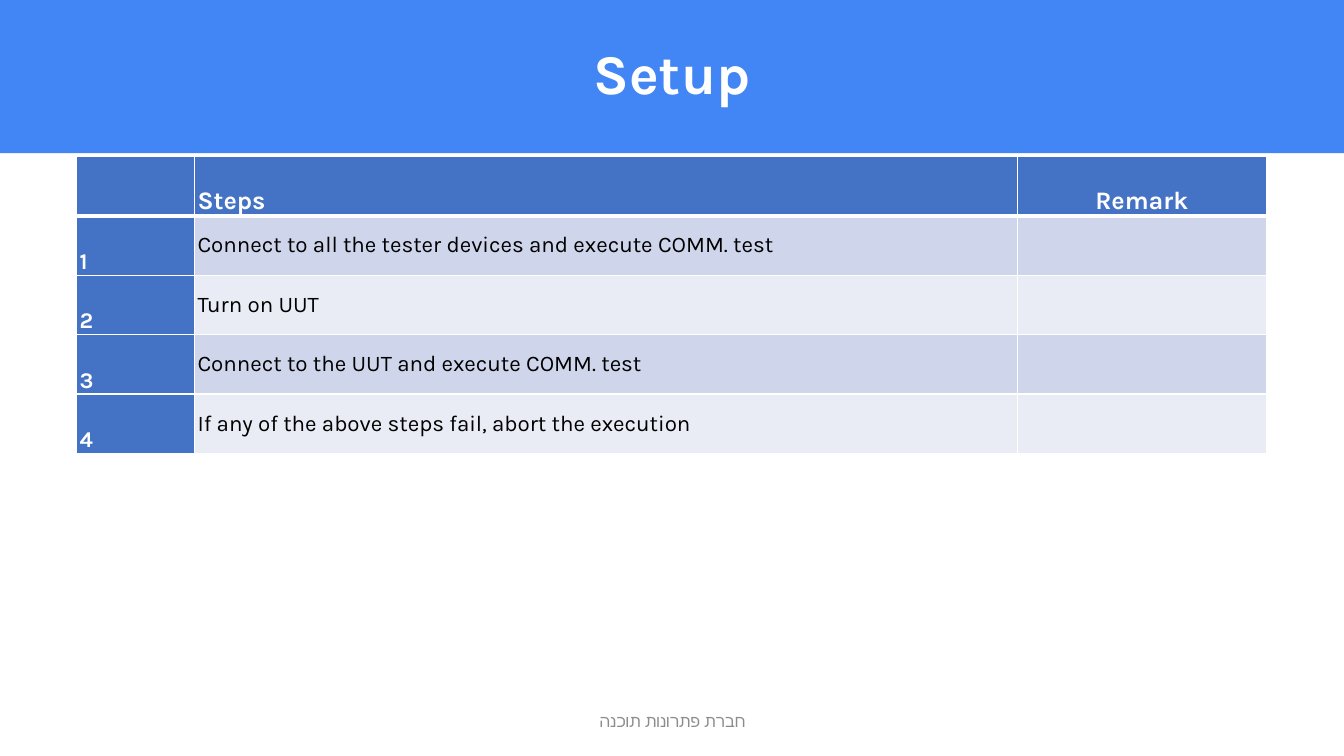
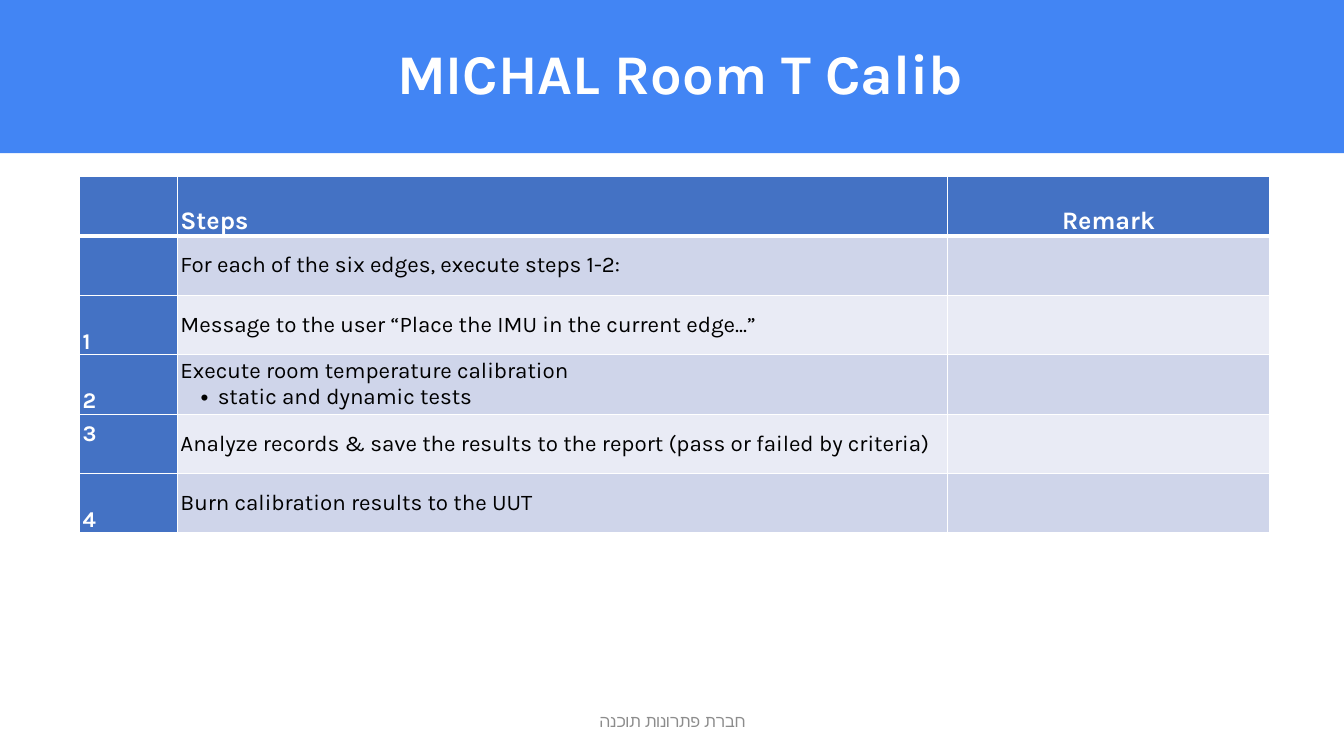
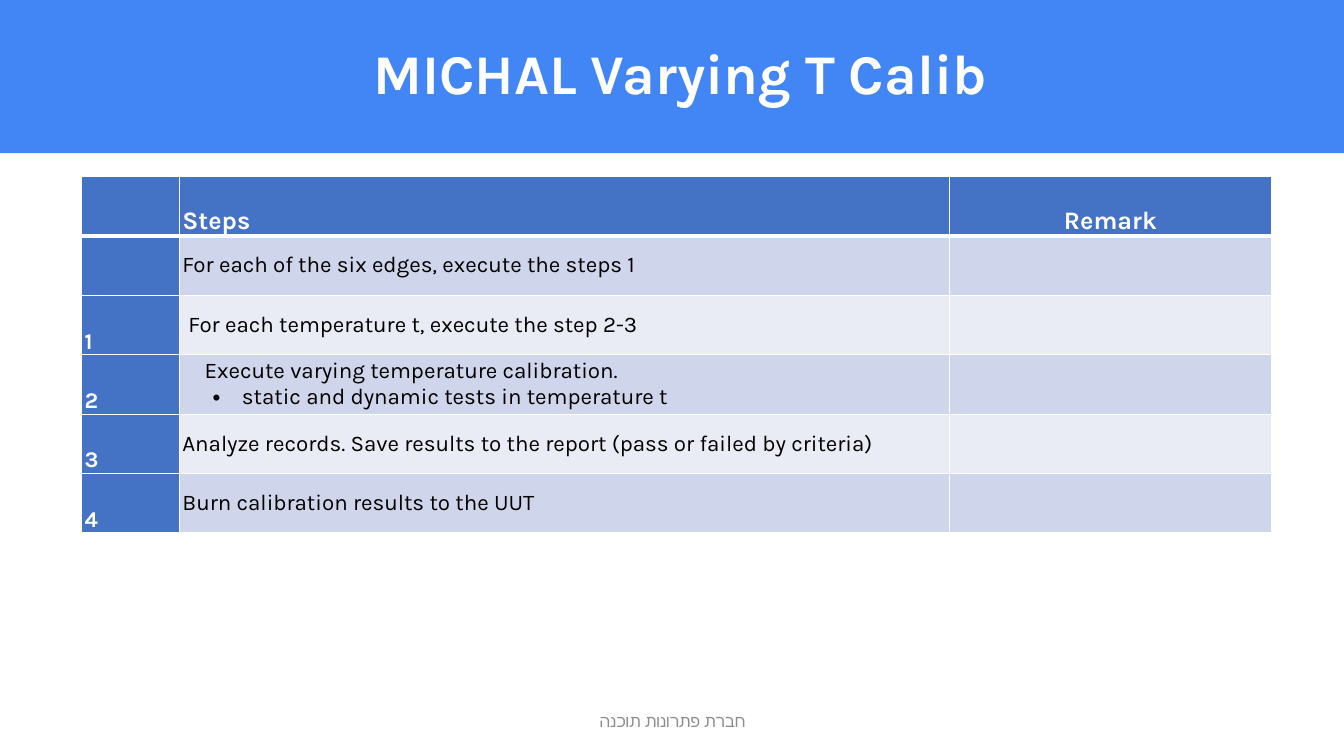
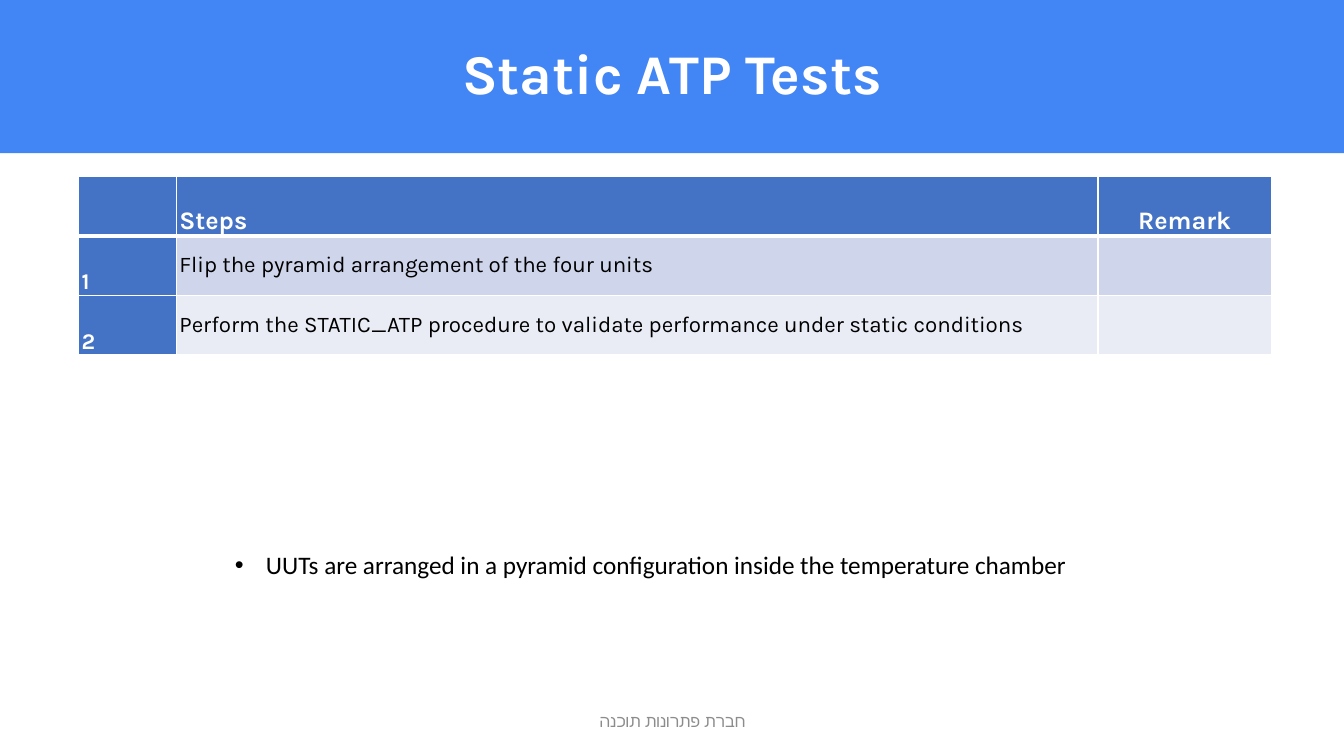
from dataclasses import dataclass

from lxml.etree import SubElement
from pptx import Presentation
from pptx.dml.color import RGBColor
from pptx.enum.shapes import MSO_SHAPE
from pptx.enum.text import MSO_ANCHOR, PP_ALIGN
from pptx.oxml.ns import qn
from pptx.slide import Slide
from pptx.table import _Cell
from pptx.text.text import TextFrame, _Paragraph
from pptx.util import Inches, Pt

WHITE, BLACK, GREY = "FFFFFF", "000000", "8C8C8C"
BAND_BLUE, TABLE_BLUE = "4285F4", "4472C4"
STRIPES = ("CFD5EA", "E9EBF5")
HEADING_FONT, BODY_FONT = "Karla", "Calibri"
PAGE_WIDTH, PAGE_HEIGHT, BAND_HEIGHT = 13.33, 7.5, 1.52
ROW_HEIGHT = 0.59
CELL_INSET = 0.03
FOOTER = "חברת פתרונות תוכנה"


@dataclass(frozen=True)
class Line:
    text: str
    indent: float = 0
    hanging: float = 0


@dataclass(frozen=True)
class Step:
    number: str
    lines: tuple[Line, ...]
    number_lift: float = 0


@dataclass(frozen=True)
class StepTable:
    left: float
    top: float
    columns: tuple[float, float, float]
    steps: tuple[Step, ...]


@dataclass(frozen=True)
class Page:
    title: str
    table: StepTable
    title_inset: float = 0.1
    note: str = ""


def step(number: str, *lines: str | Line, lift: float = 0) -> Step:
    return Step(number, tuple(Line(line) if isinstance(line, str) else line for line in lines), lift)


PAGES = (
    Page("Setup", StepTable(0.76, 1.55, (1.17, 8.16, 2.47), (
        step("1", "Connect to all the tester devices and execute COMM. test"),
        step("2", "Turn on UUT"),
        step("3", "Connect to the UUT and execute COMM. test"),
        step("4", "If any of the above steps fail, abort the execution"),
    ))),
    Page("MICHAL Room T Calib", StepTable(0.79, 1.75, (0.97, 7.64, 3.19), (
        step("", "For each of the six edges, execute steps 1-2:"),
        step("1", "Message to the user “Place the IMU in the current edge...”"),
        step("2", "Execute room temperature calibration",
             Line("static and dynamic tests", 0.37, 0.17)),
        step("3", "Analyze records & save the results to the report (pass or failed by criteria)", lift=0.26),
        step("4", "Burn calibration results to the UUT"),
    )), title_inset=0.26),
    Page("MICHAL Varying T Calib", StepTable(0.81, 1.75, (0.97, 7.64, 3.19), (
        step("", "For each of the six edges, execute the steps 1"),
        step("1", Line("For each temperature t, execute the step 2-3", 0.06)),
        step("2", Line("Execute varying temperature calibration.", 0.22),
             Line("static and dynamic tests in temperature t", 0.59, 0.29)),
        step("3", "Analyze records. Save results to the report (pass or failed by criteria)"),
        step("4", "Burn calibration results to the UUT"),
    )), title_inset=0.26),
    Page("Static ATP Tests", StepTable(0.78, 1.75, (0.97, 9.14, 1.72), (
        step("1", "Flip the pyramid arrangement of the four units"),
        step("2", "Perform the STATIC_ATP procedure to validate performance under static conditions"),
    )), note="UUTs are arranged in a pyramid configuration inside the temperature chamber"),
)


def rgb(color: str) -> RGBColor:
    return RGBColor.from_string(color)


def style(para: _Paragraph, size: float, font: str, color: str, bold: bool = False) -> None:
    para.font.size = Pt(size)
    para.font.name = font
    para.font.bold = bold
    para.font.color.rgb = rgb(color)


def indent(para: _Paragraph, line: Line) -> None:
    properties = para._p.get_or_add_pPr()
    properties.set("marL", str(Inches(line.indent)))
    properties.set("indent", str(Inches(-line.hanging)))
    if line.hanging:
        SubElement(properties, qn("a:buFont"), typeface="Arial")
        SubElement(properties, qn("a:buChar"), char="•")


def center_right_to_left(frame: TextFrame, text: str) -> _Paragraph:
    frame.word_wrap = True
    frame.vertical_anchor = MSO_ANCHOR.MIDDLE
    para = frame.paragraphs[0]
    para.text = text
    para.alignment = PP_ALIGN.CENTER
    para._p.get_or_add_pPr().set("rtl", "1")
    return para


def add_title_band(page: Slide, title: str, inset: float) -> None:
    band = page.shapes.add_shape(
        MSO_SHAPE.RECTANGLE, 0, 0, Inches(PAGE_WIDTH), Inches(BAND_HEIGHT))
    band.shadow.inherit = False
    band.fill.solid()
    band.fill.fore_color.rgb = rgb(BAND_BLUE)
    band.line.fill.background()
    band.text_frame.margin_left = Inches(inset)
    para = center_right_to_left(band.text_frame, title)
    para.line_spacing = 0.9
    style(para, 40, HEADING_FONT, WHITE, True)


def add_footer(page: Slide) -> None:
    box = page.shapes.add_textbox(Inches(4.42), Inches(6.95), Inches(4.5), Inches(0.4))
    style(center_right_to_left(box.text_frame, FOOTER), 12, BODY_FONT, GREY)


def add_note(page: Slide, text: str) -> None:
    box = page.shapes.add_textbox(Inches(2.23), Inches(5.4), Inches(9.55), Inches(0.4))
    box.text_frame.word_wrap = True
    para = box.text_frame.paragraphs[0]
    para.text = text
    indent(para, Line(text, 0.31, 0.31))
    style(para, 18, BODY_FONT, BLACK)


def paint_cell(cell: _Cell, color: str, top: float = 1, bottom: float = 1) -> None:
    properties = cell._tc.get_or_add_tcPr()
    for side, width in (("L", 1), ("R", 1), ("T", top), ("B", bottom)):
        border = SubElement(properties, qn(f"a:ln{side}"), w=str(Pt(width)))
        fill = SubElement(border, qn("a:solidFill"))
        SubElement(fill, qn("a:srgbClr"), val=WHITE)
    cell.fill.solid()
    cell.fill.fore_color.rgb = rgb(color)


def write_cell(cell: _Cell, lines: tuple[Line, ...], size: float, color: str, bold: bool,
               anchor: MSO_ANCHOR, align: PP_ALIGN = PP_ALIGN.LEFT, lift: float = 0) -> None:
    cell.margin_left = cell.margin_right = Inches(CELL_INSET)
    cell.margin_top, cell.margin_bottom = 0, Inches(lift)
    cell.vertical_anchor = anchor
    frame = cell.text_frame
    for index, line in enumerate(lines):
        para = frame.add_paragraph() if index else frame.paragraphs[0]
        para.text = line.text
        para.alignment = align
        indent(para, line)
        style(para, size, HEADING_FONT, color, bold)


def add_step_table(page: Slide, content: StepTable) -> None:
    row_count = len(content.steps) + 1
    table = page.shapes.add_table(
        row_count, len(content.columns), Inches(content.left), Inches(content.top),
        Inches(sum(content.columns)), Inches(ROW_HEIGHT * row_count)).table
    for column, width in zip(table.columns, content.columns):
        column.width = Inches(width)
    for row in table.rows:
        row.height = Inches(ROW_HEIGHT)

    headings = (("", PP_ALIGN.LEFT), ("Steps", PP_ALIGN.LEFT), ("Remark", PP_ALIGN.CENTER))
    for column, (heading, align) in enumerate(headings):
        cell = table.cell(0, column)
        paint_cell(cell, TABLE_BLUE, bottom=3)
        if heading:
            write_cell(cell, (Line(heading),), 18, WHITE, True, MSO_ANCHOR.BOTTOM, align)

    for row, entry in enumerate(content.steps, start=1):
        stripe = STRIPES[(row - 1) % 2]
        number, action, remark = (table.cell(row, column) for column in range(3))
        for cell, color in ((number, TABLE_BLUE), (action, stripe), (remark, stripe)):
            paint_cell(cell, color, top=3 if row == 1 else 1)
        if entry.number:
            write_cell(number, (Line(entry.number),), 16, WHITE, True,
                       MSO_ANCHOR.BOTTOM, lift=entry.number_lift)
        write_cell(action, entry.lines, 16, BLACK, False, MSO_ANCHOR.MIDDLE)


def main() -> None:
    deck = Presentation()
    deck.slide_width, deck.slide_height = Inches(PAGE_WIDTH), Inches(PAGE_HEIGHT)
    for content in PAGES:
        page = deck.slides.add_slide(deck.slide_layouts[6])
        add_title_band(page, content.title, content.title_inset)
        add_footer(page)
        add_step_table(page, content.table)
        if content.note:
            add_note(page, content.note)
    deck.save("out.pptx")


if __name__ == "__main__":
    main()
